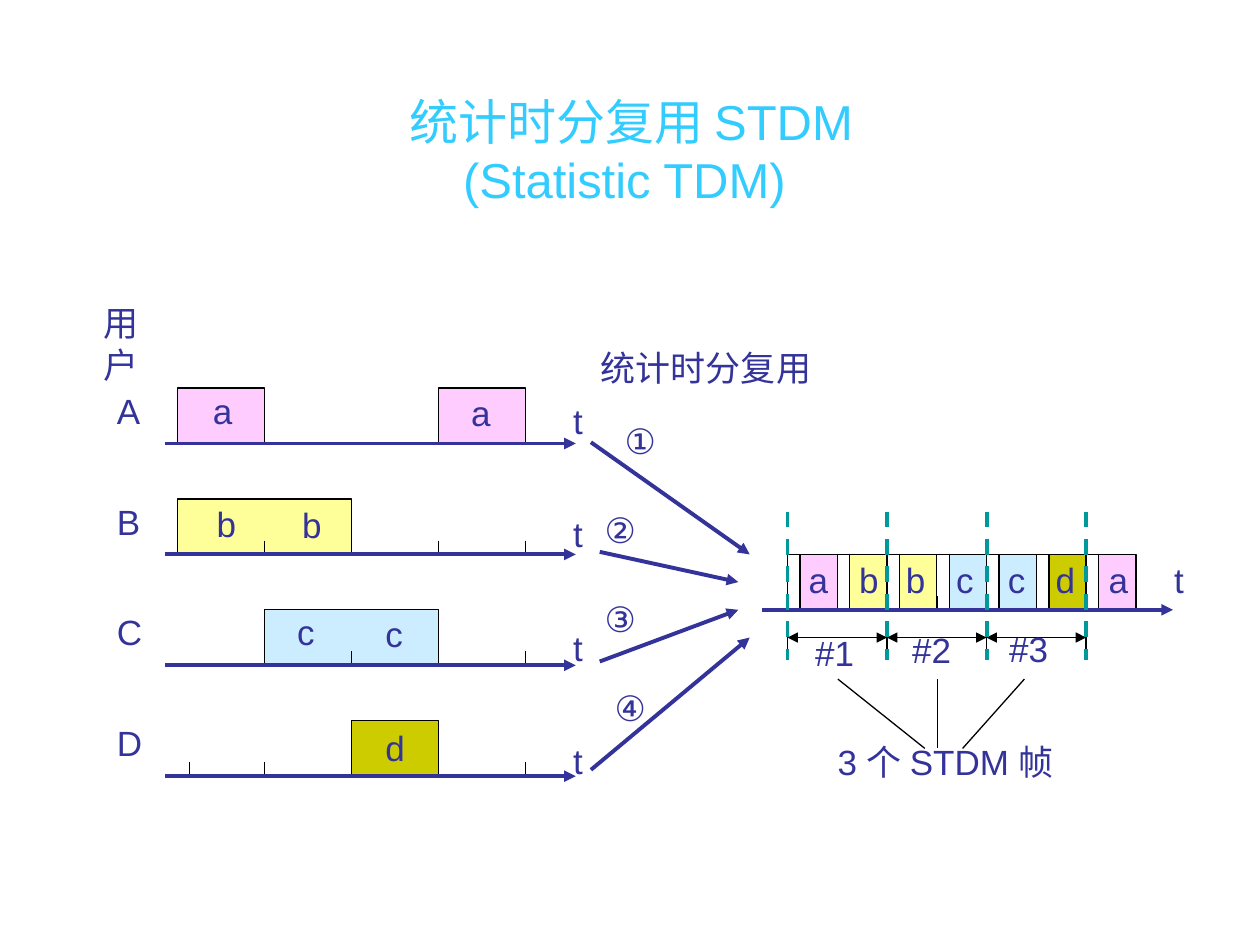
from typing import NamedTuple, Optional

from lxml.etree import SubElement
from pptx import Presentation
from pptx.dml.color import RGBColor
from pptx.enum.dml import MSO_LINE_DASH_STYLE as Dash
from pptx.enum.shapes import MSO_CONNECTOR as Conn
from pptx.enum.text import MSO_ANCHOR as Anchor, MSO_AUTO_SIZE as Fit, PP_ALIGN as Align
from pptx.oxml.ns import qn
from pptx.util import Inches, Pt

BLACK = RGBColor(0, 0, 0)
NAVY = RGBColor(0x33, 0x33, 0x99)
TEAL = RGBColor(0x00, 0x99, 0x99)
CYAN = RGBColor(0x33, 0xCC, 0xFF)
PINK = RGBColor(0xFF, 0xCC, 0xFF)
YELLOW = RGBColor(0xFF, 0xFF, 0x99)
BLUE = RGBColor(0xCC, 0xEC, 0xFF)
OLIVE = RGBColor(0xCC, 0xCC, 0x00)
FILLS = {"a": PINK, "b": YELLOW, "c": BLUE, "d": OLIVE}

FONT = "Arial"
HIGH = 0.44                                  # height of a block or label
LEFT, SLOT = 1.41, 0.69                      # user time slots
TOP, ROW = 3.52, 0.88                        # user axes
START, FRAME, AXIS, GAP = 6.25, 0.79, 4.84, 0.1    # multiplexed line


class Label(NamedTuple):
    text: str
    x: float
    y: float
    wide: float = 0.35


class Burst(NamedTuple):
    user: str
    row: int
    slot: int
    count: int = 1


class Stroke(NamedTuple):
    x1: float
    y1: float
    x2: float
    y2: float
    color: RGBColor = BLACK
    width: float = 0.75
    ends: tuple = ()
    dash: bool = False


deck = Presentation()
deck.slide_width, deck.slide_height = Inches(10), Inches(7.5)
slide = deck.slides.add_slide(deck.slide_layouts[5])
shapes = slide.shapes


def add_label(label: Label) -> None:
    box = shapes.add_textbox(Inches(label.x), Inches(label.y), Inches(label.wide), Inches(HIGH))
    frame = box.text_frame
    frame.word_wrap = False
    frame.auto_size = Fit.SHAPE_TO_FIT_TEXT
    frame.text = label.text
    font = frame.paragraphs[0].runs[0].font
    font.name, font.size = FONT, Pt(20)
    font.color.rgb = NAVY


def add_block(x: float, base: float, wide: float, fill: Optional[RGBColor] = None) -> None:
    """Draw a block whose bottom side is left open."""
    pen = shapes.build_freeform(Inches(x), Inches(base))
    rest = [(x, base - HIGH), (x + wide, base - HIGH), (x + wide, base)]
    pen.add_line_segments([(Inches(a), Inches(b)) for a, b in rest], close=False)
    block = pen.convert_to_shape()
    block.shadow.inherit = False
    if fill is None:
        block.fill.background()
    else:
        block.fill.solid()
        block.fill.fore_color.rgb = fill
    block.line.color.rgb = BLACK
    block.line.width = Pt(0.75)


def add_stroke(s: Stroke) -> None:
    link = shapes.add_connector(Conn.STRAIGHT, Inches(s.x1), Inches(s.y1),
                                Inches(s.x2), Inches(s.y2))
    link.line.color.rgb = s.color
    link.line.width = Pt(s.width)
    if s.dash:
        link.line.dash_style = Dash.DASH
    props = link._element.spPr
    for end in s.ends:
        SubElement(props.find(qn("a:ln")), qn(f"a:{end}"), type="triangle")
    SubElement(props, qn("a:effectLst"))


def add_arrow(x1: float, y1: float, x2: float, y2: float) -> None:
    add_stroke(Stroke(x1, y1, x2, y2, NAVY, 2.25, ("tailEnd",)))


# Title
title = shapes.title
title.left, title.top, title.width, title.height = map(Inches, (0.51, 0.84, 9, 0.7))
head = title.text_frame
head.auto_size = Fit.NONE
head.vertical_anchor = Anchor.MIDDLE
para = head.paragraphs[0]
para.text = "统计时分复用 STDM\v(Statistic TDM) "
para.alignment = Align.CENTER
for run in para.runs:
    run.font.name, run.font.size = FONT, Pt(28)
    run.font.color.rgb = CYAN

# User bursts and multiplexed cells
bursts = [Burst("a", 0, 0), Burst("a", 0, 3), Burst("b", 1, 0, 2),
          Burst("c", 2, 1, 2), Burst("d", 3, 2)]
for burst in bursts:
    add_block(LEFT + burst.slot * SLOT, TOP + burst.row * ROW,
              burst.count * SLOT, FILLS[burst.user])
cells = [("a", 6.32), ("b", 6.72), ("b", 7.09), ("c", 7.49),
         ("c", 7.9), ("d", 8.28), ("a", 8.7)]
pitch = FRAME / 2
for i, (user, _) in enumerate(cells):
    x = START + i * pitch
    add_block(x + GAP, AXIS, pitch - GAP, FILLS[user])
    add_block(x, AXIS, GAP)

# Slot ticks
ticks = [(1, 1), (1, 3), (1, 4), (2, 2), (2, 4), (3, 0.14), (3, 1), (3, 4)]
for row, slot in ticks:
    x, base = LEFT + slot * SLOT, TOP + row * ROW
    add_stroke(Stroke(x, base - 0.11, x, base))
for x in (7.14, 7.44, 8.62):
    add_stroke(Stroke(x, AXIS - 0.11, x, AXIS))

# Frame spans, and lines to their caption
for i in range(4):
    x = START + i * FRAME
    add_stroke(Stroke(x, 4.95, x, 5.17))
    if i < 3:
        add_stroke(Stroke(x, 5.06, x + FRAME, 5.06, ends=("headEnd", "tailEnd")))
for upper, lower in ((6.65, 7.34), (7.44, 7.44), (8.13, 7.64)):
    add_stroke(Stroke(upper, 5.39, lower, 5.94))

# Axes and arrows into the multiplexed line
add_arrow(6.05, AXIS, 9.31, AXIS)
for row in range(4):
    add_arrow(1.31, TOP + row * ROW, 4.57, TOP + row * ROW)
for ends in ((4.69, 3.51, 5.95, 4.4), (4.76, 4.38, 5.86, 4.62),
             (4.76, 5.25, 5.86, 4.84), (4.69, 6.11, 5.95, 5.06)):
    add_arrow(*ends)

# Labels
labels = [
    Label("用户", 0.72, 2.34, 0.75), Label("统计时分复用", 4.67, 2.7, 1.87),
    Label("a", 1.59, 3.04), Label("a", 3.64, 3.06),
    Label("b", 1.62, 3.94), Label("b", 2.3, 3.95),
    Label("c", 2.26, 4.8), Label("c", 2.96, 4.81), Label("d", 2.96, 5.72),
    Label("①", 4.86, 3.28, 0.45), Label("②", 4.7, 3.99, 0.45),
    Label("③", 4.7, 4.69, 0.45), Label("④", 4.78, 5.4, 0.45),
    Label("#1", 6.37, 4.96, 0.51), Label("#2", 7.14, 4.94, 0.51),
    Label("#3", 7.91, 4.93, 0.51), Label("3 个 STDM 帧", 6.55, 5.83, 2.11),
    Label("t", 9.22, 4.38, 0.27),
]
labels += [Label(user, x, 4.38) for user, x in cells]
for row, name in enumerate("ABCD"):
    labels.append(Label(name, 0.83, 3.04 + row * ROW, 0.39))
    labels.append(Label("t", 4.45, 3.12 + row * 0.9, 0.27))
for label in labels:
    add_label(label)

# Frame borders
for i in range(4):
    x = START + i * FRAME
    add_stroke(Stroke(x, 4.06, x, 5.24, TEAL, 2.25, dash=True))

deck.save("out.pptx")
